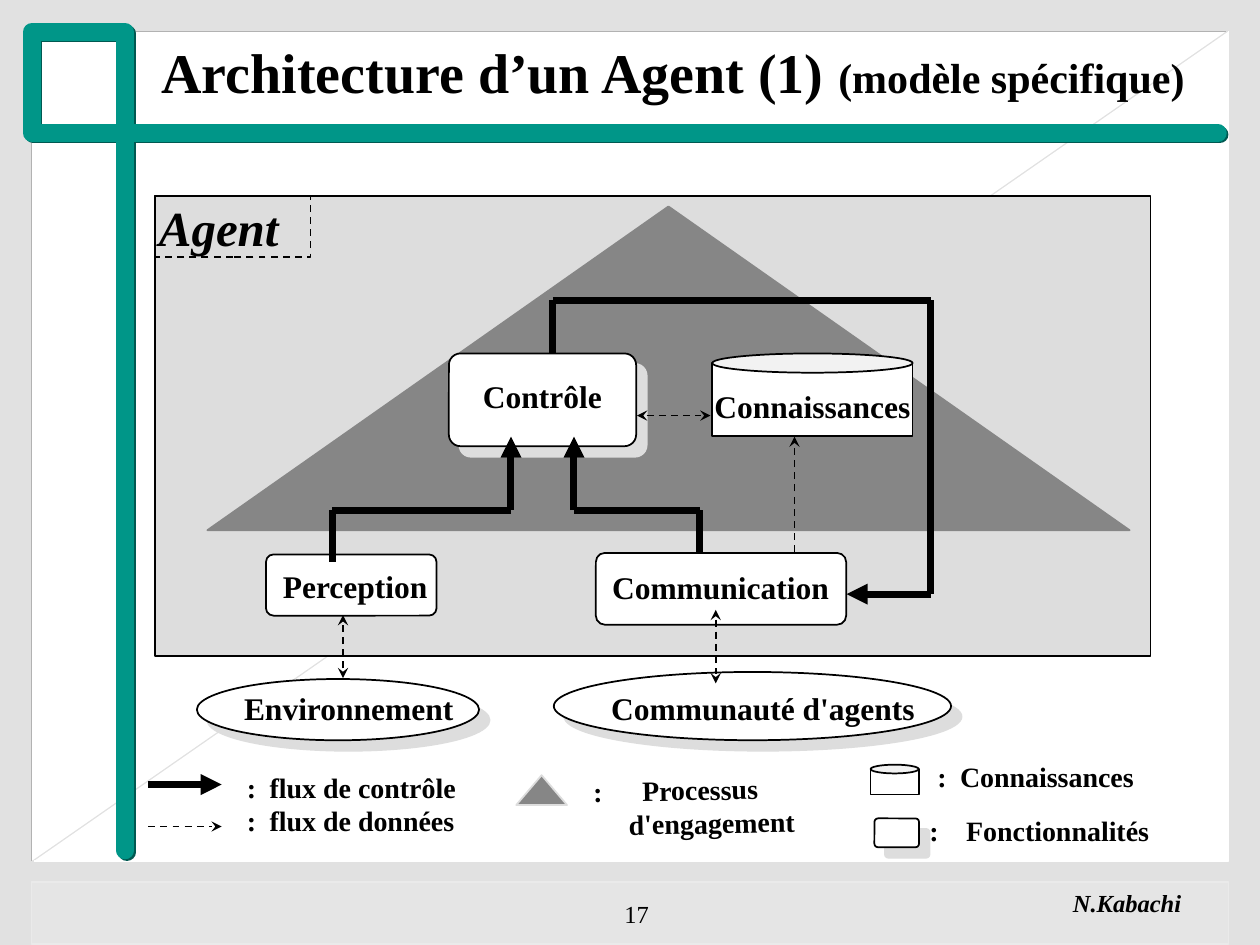
from lxml import etree
from pptx import Presentation
from pptx.dml.color import RGBColor
from pptx.enum.dml import MSO_LINE
from pptx.enum.shapes import MSO_CONNECTOR, MSO_SHAPE
from pptx.enum.text import MSO_ANCHOR, MSO_AUTO_SIZE, PP_ALIGN
from pptx.oxml.ns import qn
from pptx.util import Pt

RECT, ROUND = MSO_SHAPE.RECTANGLE, MSO_SHAPE.ROUNDED_RECTANGLE
ELLIPSE, TRIANGLE = MSO_SHAPE.OVAL, MSO_SHAPE.ISOSCELES_TRIANGLE
STRAIGHT, DASH = MSO_CONNECTOR.STRAIGHT, MSO_LINE.DASH
LEFT, CENTER, RIGHT = PP_ALIGN.LEFT, PP_ALIGN.CENTER, PP_ALIGN.RIGHT
TOP, MIDDLE = MSO_ANCHOR.TOP, MSO_ANCHOR.MIDDLE

COLORS = {
    "background": "E1E1E1", "footer": "E5E5E5", "footer_edge": "EAEAEA",
    "white": "FFFFFF", "edge": "B2B2B2", "black": "000000",
    "green": "009688", "green_shadow": "005951",
    "agent": "DDDDDD", "engagement": "868686", "lid": "F2F2F2",
}


def rgb(name):
    return RGBColor.from_string(COLORS[name])


class Deck:
    font = "Times New Roman"

    def __init__(self):
        self.prs = Presentation()
        self.prs.slide_width, self.prs.slide_height = Pt(720), Pt(540)
        self.slide = self.prs.slides.add_slide(self.prs.slide_layouts[5])
        background = self.slide.background.fill
        background.solid()
        background.fore_color.rgb = rgb("background")

    def paint(self, shape, fill, line, weight=1):
        shape.shadow.inherit = False
        if fill:
            shape.fill.solid()
            shape.fill.fore_color.rgb = rgb(fill)
        else:
            shape.fill.background()
        shape.line.color.rgb = rgb(line)
        shape.line.width = Pt(weight)

    def cast_shadow(self, shape, color="agent", distance=8.5):
        effects = shape.element.spPr.find(qn("a:effectLst"))
        shadow = etree.SubElement(effects, qn("a:outerShdw"), dist=str(Pt(distance)),
                                  dir="2700000", algn="ctr", rotWithShape="0")
        etree.SubElement(shadow, qn("a:srgbClr"), val=COLORS[color])

    def box(self, kind, left, top, width, height, fill="white", line="black", shadow=False):
        shape = self.slide.shapes.add_shape(kind, Pt(left), Pt(top), Pt(width), Pt(height))
        self.paint(shape, fill, line)
        if kind == ROUND:
            shape.adjustments[0] = 0.125
        if shadow:
            self.cast_shadow(shape)
        return shape

    def cylinder(self, left, top, width, height, lid):
        self.box(RECT, left, top + lid / 2, width, height - lid / 2)
        self.box(ELLIPSE, left, top, width, lid, "lid")

    def outline(self, points, fill, line, weight=1):
        (x, y), *rest = [(Pt(px), Pt(py)) for px, py in points]
        builder = self.slide.shapes.build_freeform(x, y)
        builder.add_line_segments(rest, close=False)
        shape = builder.convert_to_shape()
        self.paint(shape, fill, line, weight)
        return shape

    def flow(self, start, end, weight=4, head=None, tail=None):
        line = self.slide.shapes.add_connector(STRAIGHT, *map(Pt, (*start, *end)))
        line.line.color.rgb = rgb("black")
        line.line.width = Pt(weight)
        properties = line.element.spPr
        if weight == 1:
            line.line.dash_style = DASH
        for tag, arrow in (("a:headEnd", head), ("a:tailEnd", tail)):
            if arrow:
                etree.SubElement(line.line._get_or_add_ln(), qn(tag), type=arrow)
        etree.SubElement(properties, qn("a:effectLst"))

    def data_flow(self, start, end, both=True):
        self.flow(start, end, 1, "stealth" if both else None, "stealth")

    def control_flow(self, *points):
        last = len(points) - 2
        for i, (start, end) in enumerate(zip(points, points[1:])):
            self.flow(start, end, tail="triangle" if i == last else None)

    def style(self, paragraph, size=None, align=LEFT, bold=True, italic=False):
        paragraph.alignment = align
        font = paragraph.font
        font.name, font.bold, font.italic = self.font, bold, italic
        font.color.rgb = rgb("black")
        if size:
            font.size = Pt(size)

    def text(self, lines, left, top, width, height, size=18, align=LEFT, tabs=(),
             wrap=False, anchor=TOP, bold=True, italic=False):
        shape = self.slide.shapes.add_textbox(Pt(left), Pt(top), Pt(width), Pt(height))
        frame = shape.text_frame
        frame.word_wrap, frame.vertical_anchor = wrap, anchor
        frame.text = "\n".join(lines)
        for i, paragraph in enumerate(frame.paragraphs):
            if tabs:
                stops = etree.SubElement(paragraph._p.get_or_add_pPr(), qn("a:tabLst"))
                etree.SubElement(stops, qn("a:tab"), pos=str(Pt(tabs[i])), algn="l")
            self.style(paragraph, size, align, bold, italic)
        return shape

    def title(self, parts, left, top, width, height):
        title = self.slide.shapes.title
        title.left, title.top, title.width, title.height = map(Pt, (left, top, width, height))
        title.element.getparent().append(title.element)
        frame = title.text_frame
        frame.auto_size, frame.vertical_anchor = MSO_AUTO_SIZE.NONE, TOP
        frame.word_wrap = True
        paragraph = frame.paragraphs[0]
        self.style(paragraph)
        for words, size in parts:
            run = paragraph.add_run()
            run.text, run.font.size = words, Pt(size)


def main():
    deck = Deck()

    deck.outline([(700.5, 18), (18, 18), (18, 492)], "white", "edge")
    deck.outline([(702, 18), (702, 492), (19.5, 492)], "white", "white")
    deck.box(RECT, 18, 504, 684, 35.5, "footer", "footer_edge")
    deck.text(["N.Kabachi"], 606, 504, 76.5, 24.5, 14, italic=True)
    frame = deck.outline([(71.5, 486), (71.5, 18.2), (18.2, 18.2), (18.2, 76), (696, 76)],
                         None, "green", 10)
    frame.line._get_or_add_ln().set("cap", "rnd")
    etree.SubElement(frame.line._get_or_add_ln(), qn("a:round"))
    deck.cast_shadow(frame, "green_shadow", 1.4)
    deck.text(["17"], 348, 504, 30, 36, 14, RIGHT, anchor=MIDDLE, bold=False)
    deck.title([("Architecture d’un Agent (1) ", 32), ("(modèle spécifique)", 24)],
               85, 18, 635, 45.5)

    deck.box(RECT, 88.5, 112, 569, 263, "agent")
    deck.box(TRIANGLE, 118.5, 118, 527, 185, "engagement", "engagement", True)
    deck.box(RECT, 88.5, 112, 89, 35, None).line.dash_style = DASH
    deck.text(["Agent"], 83.5, 109.5, 83, 41, 28, CENTER, italic=True)

    for kind, left, top, width, height in (
        (ROUND, 256.5, 202, 107, 53),
        (ROUND, 152, 316.8, 97.5, 35),
        (ROUND, 340.5, 316, 143, 41),
        (ELLIPSE, 112.5, 388, 161.3, 35),
        (ELLIPSE, 316.5, 384, 227, 39),
    ):
        deck.box(kind, left, top, width, height, shadow=True)
    deck.cylinder(407, 202, 114.5, 47, 11)

    for words, left, top, width in (
        ("Contrôle", 268.5, 212, 83),
        ("Connaissances", 401, 217.5, 126.5),
        ("Perception", 154.5, 320.5, 97),
        ("Communication", 342.5, 321, 138.5),
        ("Environnement", 132, 390.3, 134.5),
        ("Communauté d'agents", 342, 390.3, 188),
    ):
        deck.text([words], left, top, width, 29, align=CENTER)

    deck.control_flow((190, 321), (190, 291.5), (292, 291.5), (292, 249.5))
    deck.control_flow((400, 315.5), (400, 291.5), (328, 291.5), (328, 249.5))
    deck.control_flow((316, 202), (316, 171.5), (532, 171.5), (532, 339.5), (483.8, 339.5))
    deck.data_flow((196, 387.5), (196, 351.5))
    deck.data_flow((409, 348.5), (409, 390.5))
    deck.data_flow((364, 237.5), (406, 237.5))
    deck.data_flow((454, 315.5), (454, 249.5), both=False)

    deck.control_flow((84.7, 448.3), (126.7, 448.3))
    deck.data_flow((84.7, 472.3), (126.7, 472.3), both=False)
    deck.text([":\tflux de contrôle", ":\tflux de données"], 134, 436.5, 140, 45.5, 16,
              tabs=(13, 13), wrap=True)
    deck.box(TRIANGLE, 295, 443, 29, 17, "engagement", "agent")
    engagement = deck.text([":\tProcessus", "\td'engagement"], 332, 437.8, 140, 45.5, 16,
                           tabs=(28, 20), wrap=True)
    engagement.rotation = 359
    deck.cylinder(497.5, 437, 27.5, 17, 5)
    deck.text([":\tConnaissances"], 528.5, 430.6, 140, 26.5, 16, tabs=(13,), wrap=True)
    deck.box(ROUND, 499.7, 467.7, 25.5, 16.5, shadow=True)
    deck.text([":\tFonctionnalités"], 524, 461.5, 150, 26.5, 16, tabs=(21,), wrap=True)

    deck.prs.save("out.pptx")


if __name__ == "__main__":
    main()
